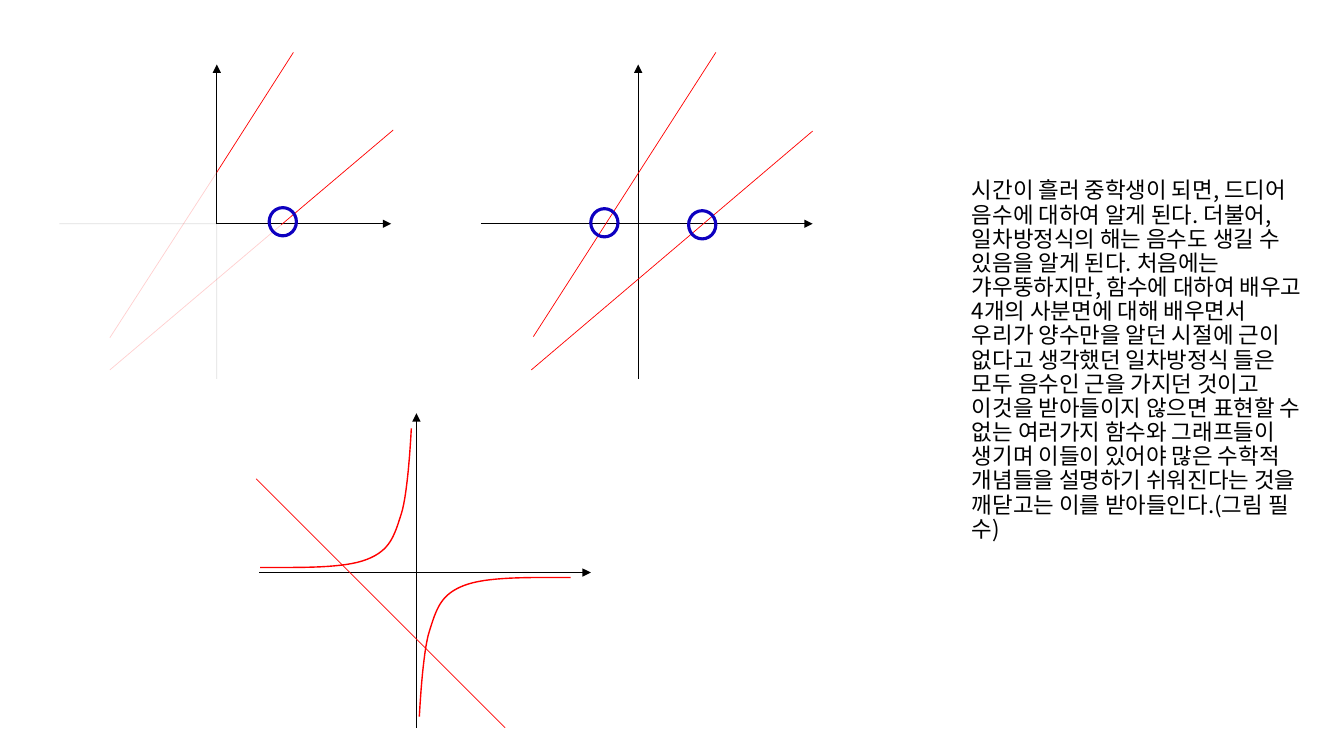
from lxml.etree import SubElement
from pptx import Presentation
from pptx.dml.color import RGBColor
from pptx.enum.shapes import MSO_CONNECTOR, MSO_SHAPE
from pptx.enum.text import MSO_ANCHOR, MSO_AUTO_SIZE, PP_ALIGN
from pptx.oxml.ns import qn
from pptx.util import Inches, Pt

COLORS = {"axis": "000000", "graph": "FF0000", "root": "0E00C0", "text": "000000"}
FONT = "Noto Sans CJK KR"
AXIS_X, AXIS_Y = 1.56, 1.58
AXIS_RIGHT, AXIS_BOTTOM = 3.29, 3.12
CURVE = [
    ((3.09, 1.63), (2.68, 1.63), (2.26, 1.62), (2.03, 1.71)),
    ((2.03, 1.71), (1.8, 1.8), (1.76, 1.94), (1.69, 2.16)),
    ((1.69, 2.16), (1.62, 2.37), (1.59, 3.01), (1.59, 3.01)),
]
EXPLANATION = (
    "시간이 흘러 중학생이 되면, 드디어 음수에 대하여 알게 된다. 더불어, "
    "일차방정식의 해는 음수도 생길 수 있음을 알게 된다. 처음에는 갸우뚱하지만, "
    "함수에 대하여 배우고 4개의 사분면에 대해 배우면서 우리가 양수만을 알던 시절에 "
    "근이 없다고 생각했던 일차방정식 들은 모두 음수인 근을 가지던 것이고 이것을 "
    "받아들이지 않으면 표현할 수 없는 여러가지 함수와 그래프들이 생기며 이들이 있어야 "
    "많은 수학적 개념들을 설명하기 쉬워진다는 것을 깨닫고는 이를 받아들인다.(그림 필수)"
)


def add_line(slide, box, start, end, color, arrow=False, opacity=100):
    """Draw a thin line between two points given relative to the box."""
    left, top = box
    line = slide.shapes.add_connector(
        MSO_CONNECTOR.STRAIGHT,
        Inches(left + start[0]), Inches(top + start[1]),
        Inches(left + end[0]), Inches(top + end[1]),
    )
    line.line.width = Pt(0.5)
    line.line.color.rgb = RGBColor.from_string(COLORS[color])
    properties = line._element.spPr.find(qn("a:ln"))
    if opacity < 100:
        tint = properties.find(".//" + qn("a:srgbClr"))
        SubElement(tint, qn("a:alpha"), val=str(opacity * 1000))
    if arrow:
        SubElement(properties, qn("a:tailEnd"), type="triangle")
    SubElement(line._element.spPr, qn("a:effectLst"))


def add_axes(slide, box):
    """Draw both full axes with arrowheads."""
    add_line(slide, box, (AXIS_X, AXIS_BOTTOM), (AXIS_X, 0), "axis", arrow=True)
    add_line(slide, box, (0, AXIS_Y), (AXIS_RIGHT, AXIS_Y), "axis", arrow=True)


def add_root(slide, box, position):
    """Circle a root on the horizontal axis."""
    circle = slide.shapes.add_shape(
        MSO_SHAPE.OVAL, Inches(box[0] + position[0]), Inches(box[1] + position[1]),
        Inches(0.27), Inches(0.28),
    )
    circle.shadow.inherit = False
    circle.fill.background()
    circle.line.width = Pt(2.25)
    circle.line.color.rgb = RGBColor.from_string(COLORS["root"])


def bezier_points(segments, steps=16):
    """Return evenly stepped points along joined cubic segments."""
    points = [segments[0][0]]
    for a, b, c, d in segments:
        for step in range(1, steps + 1):
            t = step / steps
            u = 1 - t
            points.append(tuple(
                u**3 * a[i] + 3 * u * u * t * b[i] + 3 * u * t * t * c[i] + t**3 * d[i]
                for i in (0, 1)
            ))
    return points


def add_curve(slide, box, points):
    """Draw an open red curve through points relative to the box."""
    placed = [(Inches(box[0] + x), Inches(box[1] + y)) for x, y in points]
    builder = slide.shapes.build_freeform(*placed[0])
    builder.add_line_segments(placed[1:], close=False)
    curve = builder.convert_to_shape()
    curve.shadow.inherit = False
    curve.fill.background()
    curve.line.width = Pt(1)
    curve.line.color.rgb = RGBColor.from_string(COLORS["graph"])


def draw_positive_panel(slide, box):
    """Draw the first quadrant with the other quadrants faded."""
    origin = (AXIS_X, AXIS_Y)
    steep, gentle = (AXIS_X, 1.07), (2.2, 1.59)
    for end in ((AXIS_X, 0), (AXIS_RIGHT, AXIS_Y)):
        add_line(slide, box, origin, end, "axis", arrow=True)
    for end in ((AXIS_X, AXIS_BOTTOM), (0, AXIS_Y)):
        add_line(slide, box, origin, end, "axis", opacity=13)
    for start, middle, end in (
        ((0.5, 2.71), steep, (2.32, -0.12)),
        ((0.5, 3.03), gentle, (3.31, 0.65)),
    ):
        add_line(slide, box, start, middle, "graph", opacity=18)
        add_line(slide, box, middle, end, "graph")
    add_root(slide, box, (2.08, 1.42))


def draw_full_panel(slide, box):
    """Draw both straight graphs over all four quadrants."""
    add_axes(slide, box)
    add_line(slide, box, (0.52, 2.7), (2.33, -0.12), "graph")
    add_line(slide, box, (0.5, 3.03), (3.29, 0.66), "graph")
    for position in ((1.09, 1.43), (2.06, 1.45)):
        add_root(slide, box, position)


def draw_hyperbola_panel(slide, box):
    """Draw a hyperbola and a falling straight line."""
    add_axes(slide, box)
    lower = bezier_points(CURVE)
    add_curve(slide, box, lower)
    add_curve(slide, box, [(3.1 - x, 3.16 - y) for x, y in lower])
    add_line(slide, box, (-0.03, 0.65), (2.44, 3.12), "graph")


def write_explanation(slide, box):
    """Place the explanation in the title placeholder."""
    title = slide.shapes.title
    title.left, title.top, title.width, title.height = (Inches(value) for value in box)
    frame = title.text_frame
    frame.word_wrap = True
    frame.auto_size = MSO_AUTO_SIZE.NONE
    frame.vertical_anchor = MSO_ANCHOR.MIDDLE
    frame.margin_right = Inches(0.14)
    frame.text = EXPLANATION
    para = frame.paragraphs[0]
    para.alignment = PP_ALIGN.LEFT
    para.line_spacing = 0.9
    para.font.size = Pt(16)
    para.font.color.rgb = RGBColor.from_string(COLORS["text"])
    para.font.name = FONT
    properties = para._p.pPr.find(qn("a:defRPr"))
    properties.set("kern", "0")
    SubElement(properties, qn("a:ea"), typeface=FONT)


def main():
    """Build and save the deck."""
    deck = Presentation()
    deck.slide_width, deck.slide_height = Inches(13.33), Inches(7.5)
    slide = deck.slides.add_slide(deck.slide_layouts[5])
    write_explanation(slide, (9.54, 0.4, 3.59, 6.36))
    draw_full_panel(slide, (4.77, 0.64))
    draw_positive_panel(slide, (0.59, 0.64))
    draw_hyperbola_panel(slide, (2.57, 4.1))
    deck.save("out.pptx")


if __name__ == "__main__":
    main()
